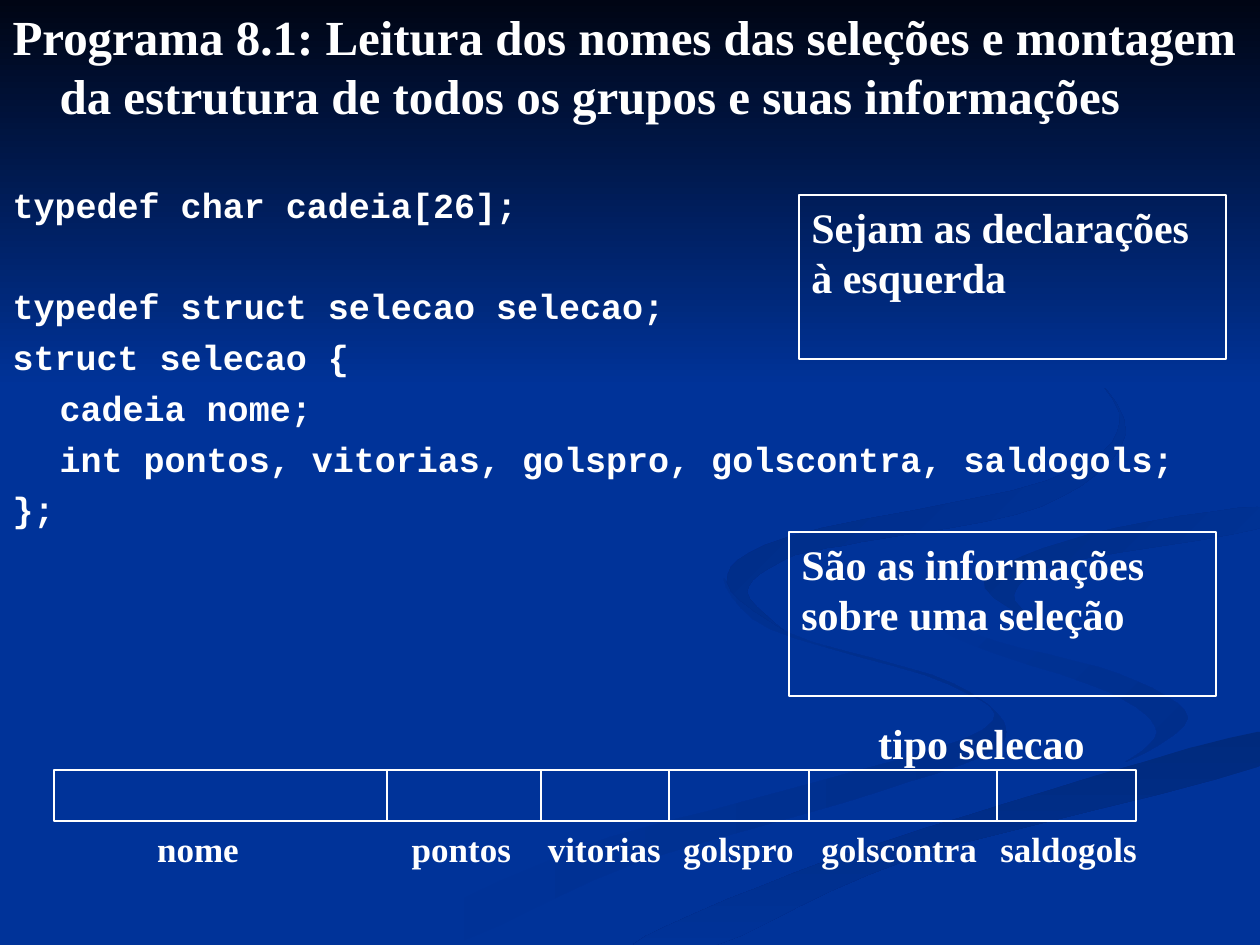
import itertools

import pptx
import pptx.dml.color
import pptx.enum.shapes
import pptx.enum.text
import pptx.oxml.ns
import pptx.util
from lxml import etree

PX = 914400 / 126
SERIF, MONO = "Times New Roman", "Courier New"
RGB = pptx.dml.color.RGBColor
BLUE = RGB(0x00, 0x33, 0x99)
NIGHT = RGB(0x00, 0x05, 0x14)
SHADE_BAND = RGB(0x00, 0x2A, 0x7D)
SHADE_LOOP = RGB(0x00, 0x2B, 0x82)
SHADE_EDGE = RGB(0x00, 0x2D, 0x86)
SHADE_SOFT = RGB(0x00, 0x2E, 0x8B)
WHITE = RGB(0xFF, 0xFF, 0xFF)
RECT = pptx.enum.shapes.MSO_SHAPE.RECTANGLE
LEFT = pptx.enum.text.PP_ALIGN.LEFT
CENTER = pptx.enum.text.PP_ALIGN.CENTER

TITLE = ("Programa 8.1: Leitura dos nomes das seleções e montagem "
         "da estrutura de todos os grupos e suas informações")
CODE = [
    ("typedef char cadeia[26];", 34),
    ("typedef struct selecao selecao;", 34),
    ("struct selecao {", 5),
    ("\tcadeia nome;", 5),
    ("\tint pontos, vitorias, golspro, golscontra, saldogols;", 5),
    ("};", 5),
]
FIELDS = [
    ("nome", 333, 30, 228, CENTER),
    ("pontos", 154, 5, 139, CENTER),
    ("vitorias", 128, -11, 149, CENTER),
    ("golspro", 140, 0, 139, CENTER),
    ("golscontra", 188, 0, 189, LEFT),
    ("saldogols", 139, -9, 189, LEFT),
]
SWIRLS = [
    (BLUE, SHADE_SOFT, 0, [
        (954, 684), (789, 633), (724, 578), (770, 629), (948, 684), (983, 730), (776, 793),
        (577, 849), (378, 944), (455, 944), (629, 866), (881, 791), (1004, 741)]),
    (BLUE, SHADE_SOFT, 45, [
        (1188, 718), (1119, 674), (975, 634), (912, 585), (951, 636), (1109, 692),
        (1157, 732), (1126, 762)]),
    (SHADE_BAND, BLUE, 90, [
        (634, 944), (719, 944), (910, 859), (1257, 767), (1257, 732), (1004, 804),
        (794, 873)]),
    (SHADE_EDGE, BLUE, 45, [
        (984, 580), (1041, 625), (1014, 595), (1062, 564), (1257, 529), (1257, 507),
        (1090, 534)]),
    (SHADE_LOOP, BLUE, 45, [
        (861, 542), (1040, 507), (1126, 433), (1062, 347), (960, 294), (1066, 352),
        (1120, 422), (1046, 481), (788, 537), (727, 582), (784, 630), (747, 592),
        (786, 559)]),
]


def box(*lengths):
    """Turn px lengths into EMU."""
    return [pptx.util.Emu(round(v * PX)) for v in lengths]


def smooth(points, steps=6):
    """Return a closed Catmull-Rom curve through the points."""
    curve = []
    for i in range(len(points)):
        knots = [points[(i + k) % len(points)] for k in (-1, 0, 1, 2)]
        for t in (step / steps for step in range(steps)):
            curve.append(tuple(
                b + t * (c - a + t * (2 * a - 5 * b + 4 * c - d
                                      + t * (3 * b - a - 3 * c + d))) / 2
                for a, b, c, d in zip(*knots)))
    return curve


def style(p, size, font=SERIF, align=LEFT):
    """Format one paragraph and its runs."""
    p.alignment = align
    p.line_spacing = pptx.util.Pt(size * 1.2)
    for r in p.runs:
        r.font.name, r.font.size, r.font.bold = font, pptx.util.Pt(size), True
        r.font.color.rgb = WHITE


def shade(sp, start, end, angle):
    """Give a shape a two-colour gradient without outline or shadow."""
    sp.shadow.inherit = False
    sp.line.fill.background()
    sp.fill.gradient()
    sp.fill.gradient_angle = -angle % 360
    for stop, colour in zip(sp.fill.gradient_stops, (start, end)):
        stop.color.rgb = colour


def frame(shapes, x, y, w, h):
    """Add an unfilled rectangle with a thin white outline."""
    sp = shapes.add_shape(RECT, *box(x, y, w, h))
    sp.shadow.inherit = False
    sp.fill.background()
    sp.line.color.rgb = WHITE
    sp.line.width = pptx.util.Pt(0.75)
    return sp


def label(shapes, text, size, align, x, y, w, h):
    """Add a bold text box."""
    tf = shapes.add_textbox(*box(x, y, w, h)).text_frame
    tf.word_wrap = True
    tf.text = text
    style(tf.paragraphs[0], size, align=align)


def backdrop(s, x, y, w, h):
    """Paint the blue background, its swirls and the dark top."""
    s.background.fill.solid()
    s.background.fill.fore_color.rgb = BLUE
    shapes = s.shapes.add_group_shape().shapes
    for start, end, angle, points in SWIRLS:
        outline = [(x + px, y + py) for px, py in smooth(points)]
        fb = shapes.build_freeform(*outline[0], scale=PX)
        fb.add_line_segments(outline[1:], close=True)
        shade(fb.convert_to_shape(), start, end, angle)
    shade(shapes.add_shape(RECT, *box(x, y, w, h)), NIGHT, BLUE, 90)


def listing(s, x, y, w, h):
    """Fill the body placeholder with the heading and the code."""
    sp = s.placeholders[1]
    sp.left, sp.top, sp.width, sp.height = box(x, y, w, h)
    tree = sp._element.getparent()
    tree.append(sp._element)
    tf = sp.text_frame
    tf.word_wrap = True
    tf.auto_size = pptx.enum.text.MSO_AUTO_SIZE.NONE
    tf.vertical_anchor = pptx.enum.text.MSO_ANCHOR.TOP
    lines = [(TITLE, 7, 28, SERIF)] + [(text, gap, 20, MONO) for text, gap in CODE]
    hang = box(47)[0]
    for i, (text, gap, size, font) in enumerate(lines):
        p = tf.add_paragraph() if i else tf.paragraphs[0]
        p.text = text
        style(p, size, font)
        p.space_before = pptx.util.Pt(gap)
        pPr = p._p.get_or_add_pPr()
        pPr.set("marL", str(hang))
        pPr.set("indent", str(-hang))
        etree.SubElement(pPr, pptx.oxml.ns.qn("a:buNone"))


def note(s, text, x, y, w, h):
    """Add a framed remark."""
    tf = frame(s.shapes, x, y, w, h).text_frame
    tf.word_wrap = True
    tf.vertical_anchor = pptx.enum.text.MSO_ANCHOR.TOP
    tf.text = text
    style(tf.paragraphs[0], 24)


def record(s, x, y, h):
    """Draw the record as a row of cells with field names below."""
    shapes = s.shapes.add_group_shape().shapes
    starts = itertools.accumulate((field[1] for field in FIELDS), initial=x)
    for left, (name, cell_w, shift, name_w, align) in zip(starts, FIELDS):
        frame(shapes, left, y, cell_w, h)
        label(shapes, name, 20, align, left + shift, y + h, name_w, 55)
    label(shapes, "tipo selecao", 24, CENTER, x + 784, y - 59, 287, 63)


def main():
    """Build and save the slide."""
    prs = pptx.Presentation()
    prs.slide_width, prs.slide_height = box(1260, 945)
    s = prs.slides.add_slide(prs.slide_layouts[1])
    title = s.shapes.title._element
    title.getparent().remove(title)
    backdrop(s, 0, 0, 1260, 388)
    listing(s, 0, 0, 1260, 945)
    note(s, "Sejam as declarações à esquerda", 799, 195, 427, 164)
    record(s, 54, 770, 51)
    note(s, "São as informações sobre uma seleção", 789, 532, 427, 164)
    prs.save("out.pptx")


if __name__ == "__main__":
    main()
